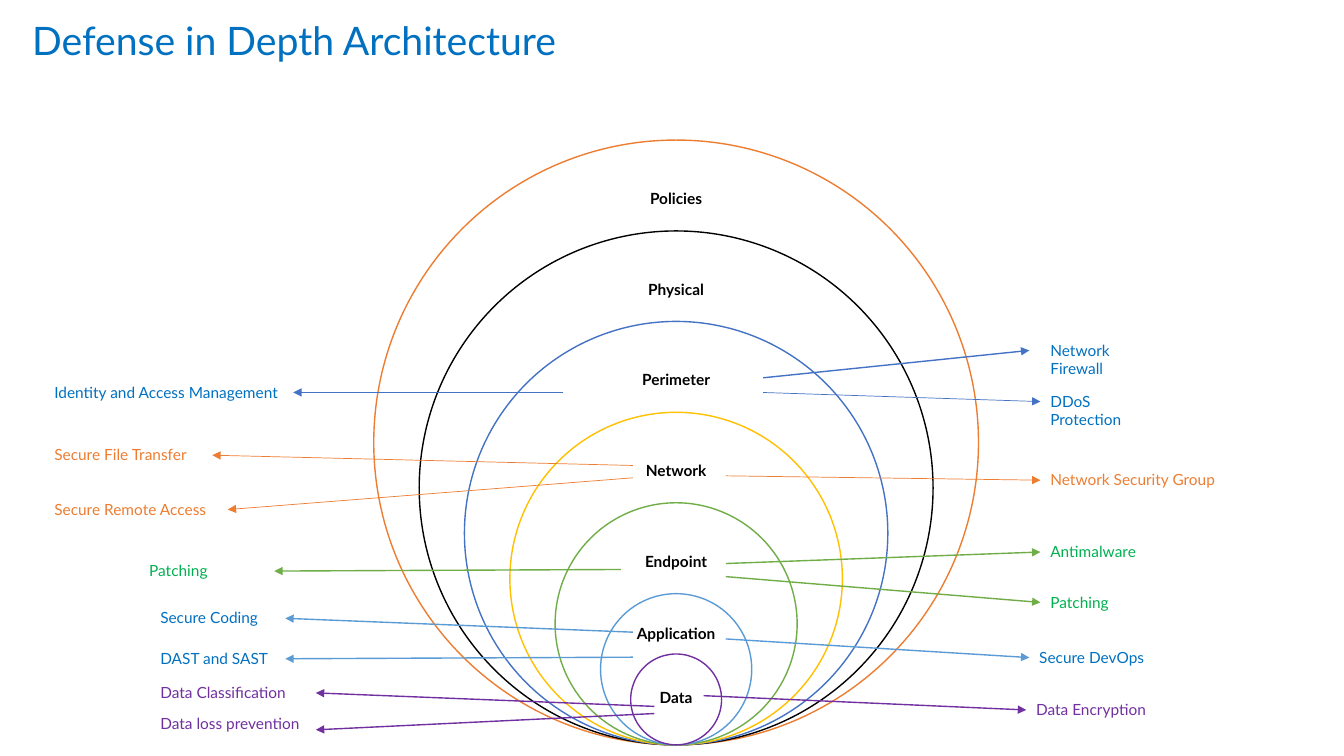
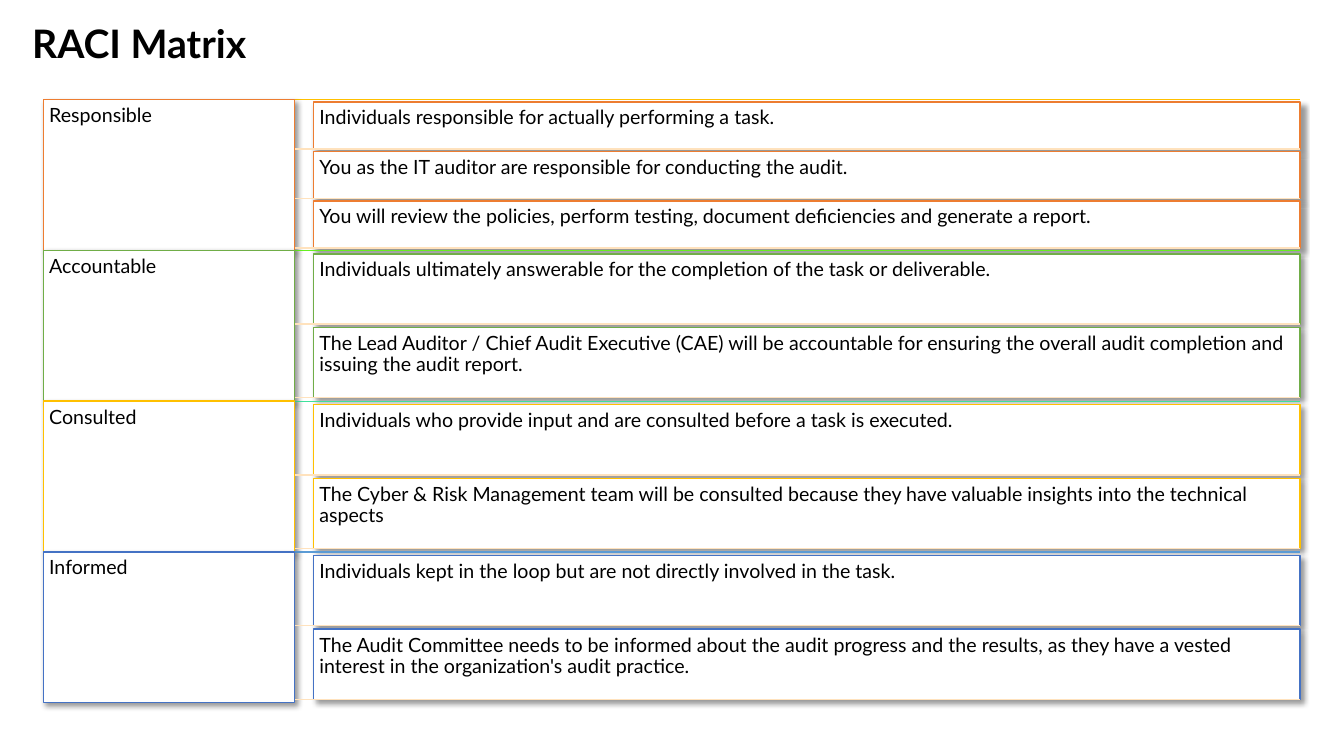
from dataclasses import dataclass

from lxml.etree import SubElement
from pptx import Presentation
from pptx.dml.color import RGBColor
from pptx.enum.shapes import MSO_CONNECTOR, MSO_SHAPE
from pptx.enum.text import MSO_ANCHOR, PP_ALIGN
from pptx.oxml.ns import qn
from pptx.util import Cm, Pt

FONT = "Lato"
BLACK = RGBColor(0x00, 0x00, 0x00)
WHITE = RGBColor(0xFF, 0xFF, 0xFF)
ORANGE = RGBColor(0xED, 0x7D, 0x31)
INDIGO = RGBColor(0x44, 0x72, 0xC4)
GOLD = RGBColor(0xFF, 0xC0, 0x00)
GREEN = RGBColor(0x70, 0xAD, 0x47)
SKY = RGBColor(0x5B, 0x9B, 0xD5)
PURPLE = RGBColor(0x70, 0x30, 0xA0)
TEXT_BLUE = RGBColor(0x00, 0x70, 0xC0)
TEXT_GREEN = RGBColor(0x00, 0xB0, 0x50)
LIME = RGBColor(0x67, 0xEF, 0x21)
MINT = RGBColor(0x3F, 0xE1, 0x9B)
PEACH = RGBColor(0xFF, 0xE2, 0xBD)


@dataclass
class Box:
    """A region of the slide in centimetres."""
    left: float
    top: float
    width: float
    height: float

    def lengths(self):
        return Cm(self.left), Cm(self.top), Cm(self.width), Cm(self.height)


@dataclass
class Callout:
    """A label with its arrow, measured from the corner of the callout area."""
    text: str
    left: float
    middle: float
    width: float
    start: tuple
    weight: float = 1
    tip_shift: tuple = (0, 0)


# Name, line colour, diameter, label centre below ring top, label width and height
RINGS = [
    ("Policies", ORANGE, 15.24, 1.5, 5.7, 1.5),
    ("Physical", BLACK, 12.95, 1.5, 5.6, 1.5),
    ("Perimeter", INDIGO, 10.67, 1.5, 5.5, 1.5),
    ("Network", GOLD, 8.38, 1.5, 4.5, 1.5),
    ("Endpoint", GREEN, 6.1, 1.5, 4, 1.5),
    ("Application", SKY, 3.81, 1.02, 2.6, 0.9),
    ("Data", PURPLE, 2.29, 1.13, 1.62, 1.14),
]

# Text colour, arrow colour and callouts of each layer
CALLOUTS = [
    (TEXT_BLUE, INDIGO, [
        Callout("Identity and Access Management", 0, 6.36, 6.27, (13.08, 6.36), 0.5),
        Callout("Network Firewall", 25.1, 5.3, 3.3, (18.11, 5.99), 1, (-0.28, 0)),
        Callout("DDoS Protection", 25.1, 6.59, 3.3, (18.11, 6.36), 0.5),
    ]),
    (ORANGE, ORANGE, [
        Callout("Secure File Transfer", 0, 7.94, 4.23, (14.83, 8.2), 0.5),
        Callout("Secure Remote Access", 0, 9.31, 4.62, (14.83, 8.51), 0.5),
        Callout("Network Security Group", 25.1, 8.57, 5, (17.17, 8.46), 0.5),
    ]),
    (TEXT_GREEN, GREEN, [
        Callout("Patching", 2.39, 10.86, 3.4, (14.53, 10.82)),
        Callout("Antimalware", 25.1, 10.38, 3.4, (17.17, 10.67)),
        Callout("Patching", 25.1, 11.65, 3.4, (17.17, 11)),
    ]),
    (TEXT_BLUE, SKY, [
        Callout("Secure Coding", 2.67, 12.05, 3.4, (14.83, 12.4)),
        Callout("DAST and SAST", 2.67, 13.07, 3.4, (14.83, 13.03)),
        Callout("Secure DevOps", 24.82, 13.04, 3.4, (17.17, 12.57)),
    ]),
    (PURPLE, PURPLE, [
        Callout("Data Classification", 2.67, 13.93, 4.17, (15.37, 14.27)),
        Callout("Data loss prevention", 2.67, 14.72, 4.17, (15.37, 14.45), 1, (0, 0.14)),
        Callout("Data Encryption", 24.74, 14.36, 3.4, (16.61, 14)),
    ]),
]

# Role, box line colour, top rule colour and statements
ROLES = [
    ("Responsible", ORANGE, GOLD, [
        "Individuals responsible for actually performing a task.",
        "You as the IT auditor are responsible for conducting the audit.",
        "You will review the policies, perform testing, document deficiencies "
        "and generate a report.",
    ]),
    ("Accountable", GREEN, LIME, [
        "Individuals ultimately answerable for the completion of the task or deliverable.",
        "The Lead Auditor / Chief Audit Executive (CAE) will be accountable for "
        "ensuring the overall audit completion and issuing the audit report.",
    ]),
    ("Consulted", GOLD, MINT, [
        "Individuals who provide input and are consulted before a task is executed.",
        "The Cyber & Risk Management team will be consulted because they have "
        "valuable insights into the technical aspects",
    ]),
    ("Informed", INDIGO, SKY, [
        "Individuals kept in the loop but are not directly involved in the task.",
        "The Audit Committee needs to be informed about the audit progress and the "
        "results, as they have a vested interest in the organization's audit practice.",
    ]),
]


def write(shape, text, size, color, bold=False, align=PP_ALIGN.LEFT,
          anchor=MSO_ANCHOR.TOP, inset=None, spacing=0.9):
    frame = shape.text_frame
    frame.text = text
    frame.word_wrap = True
    frame.vertical_anchor = anchor
    if inset is not None:
        frame.margin_left = frame.margin_right = Cm(inset)
        frame.margin_top = frame.margin_bottom = Cm(inset)
    paragraph = frame.paragraphs[0]
    paragraph.alignment = align
    paragraph.line_spacing = spacing
    font = paragraph.runs[0].font
    font.name, font.size, font.bold = FONT, Pt(size), bold
    font.color.rgb = color


def add_text(slide, box, text, size, color, **style):
    write(slide.shapes.add_textbox(*box.lengths()), text, size, color, **style)


def add_outline(slide, preset, box, color):
    shape = slide.shapes.add_shape(preset, *box.lengths())
    shape.shadow.inherit = False
    shape.fill.solid()
    shape.fill.fore_color.rgb = WHITE
    shape.line.color.rgb = color
    shape.line.width = Pt(1)
    return shape


def add_line(slide, start, end, color, weight=1, arrow=False):
    connector = slide.shapes.add_connector(
        MSO_CONNECTOR.STRAIGHT, *(Cm(value) for value in (*start, *end)))
    connector.line.color.rgb = color
    connector.line.width = Pt(weight)
    properties = connector.element.spPr
    if arrow:
        SubElement(properties.find(qn("a:ln")), qn("a:tailEnd"), type="triangle")
    SubElement(properties, qn("a:effectLst"))


def add_shadow(shape):
    effects = shape.element.spPr.find(qn("a:effectLst"))
    shadow = SubElement(effects, qn("a:outerShdw"), blurRad=str(Pt(4)),
                        dist=str(Pt(3)), dir="2700000", algn="tl", rotWithShape="0")
    color = SubElement(shadow, qn("a:srgbClr"), val=str(BLACK))
    SubElement(color, qn("a:alpha"), val="40000")


def add_title(slide, box, text, color, bold=False):
    add_text(slide, box, text, 28, color, bold=bold, anchor=MSO_ANCHOR.MIDDLE)


def draw_rings(slide, box):
    """Nested rings that all rest on the bottom of the box."""
    center = box.left + box.width / 2
    bottom = box.top + box.height
    for name, color, diameter, label_center, width, height in RINGS:
        top = bottom - diameter
        ring = Box(center - diameter / 2, top, diameter, diameter)
        add_outline(slide, MSO_SHAPE.OVAL, ring, color)
        label = Box(center - width / 2, top + label_center - height / 2, width, height)
        add_text(slide, label, name, 11, BLACK, bold=True, align=PP_ALIGN.CENTER,
                 anchor=MSO_ANCHOR.MIDDLE, inset=0.23)


def draw_callouts(slide, box):
    """Labels on both sides, each reached by an arrow from its layer."""
    height = 0.74
    for text_color, line_color, callouts in CALLOUTS:
        for callout in callouts:
            left, middle = box.left + callout.left, box.top + callout.middle
            label = Box(left, middle - height / 2, callout.width, height)
            add_text(slide, label, callout.text, 11, text_color, spacing=1)
            on_right = callout.left > callout.start[0]
            edge = left if on_right else left + callout.width
            shift_x, shift_y = callout.tip_shift
            start = box.left + callout.start[0], box.top + callout.start[1]
            add_line(slide, start, (edge + shift_x, middle + shift_y),
                     line_color, callout.weight, arrow=True)


def add_panel(slide, box, text, color):
    panel = add_outline(slide, MSO_SHAPE.RECTANGLE, box, color)
    add_shadow(panel)
    write(panel, text, 14, BLACK, inset=0.15)


def draw_role(slide, box, name, color, rule_color, statements):
    """One role on the left with its stacked statements on the right."""
    right = box.left + box.width
    add_line(slide, (box.left, box.top), (right, box.top), rule_color)
    name_width, statement_indent = 6.34, 6.81
    add_panel(slide, Box(box.left, box.top, name_width, box.height), name, color)

    # Gaps are a twentieth of the statement height
    count = len(statements)
    height = box.height / (count + 0.05 * (count + 1))
    gap = 0.05 * height
    for index, statement in enumerate(statements):
        top = box.top + gap + index * (height + gap)
        add_panel(slide, Box(box.left + statement_indent, top,
                             box.width - statement_indent, height), statement, color)
        add_line(slide, (box.left + name_width, top + height),
                 (right, top + height), PEACH)


def draw_matrix(slide, box):
    height = box.height / len(ROLES)
    for index, role in enumerate(ROLES):
        draw_role(slide, Box(box.left, box.top + index * height, box.width, height), *role)


def main():
    presentation = Presentation()
    presentation.slide_width, presentation.slide_height = Cm(33.87), Cm(19.05)
    blank = presentation.slide_layouts[6]

    # Layers of defense
    slide = presentation.slides.add_slide(blank)
    draw_rings(slide, Box(9.42, 3.53, 15.24, 15.24))
    add_title(slide, Box(0.56, 0.28, 32.97, 1.6), "Defense in Depth Architecture", TEXT_BLUE)
    draw_callouts(slide, Box(1.12, 3.53, 31, 15.24))

    # Roles
    slide = presentation.slides.add_slide(blank)
    add_title(slide, Box(0.56, 0.41, 32.61, 1.47), "RACI Matrix", BLACK, bold=True)
    draw_matrix(slide, Box(1.09, 2.51, 31.67, 15.2))

    presentation.save("out.pptx")


if __name__ == "__main__":
    main()
